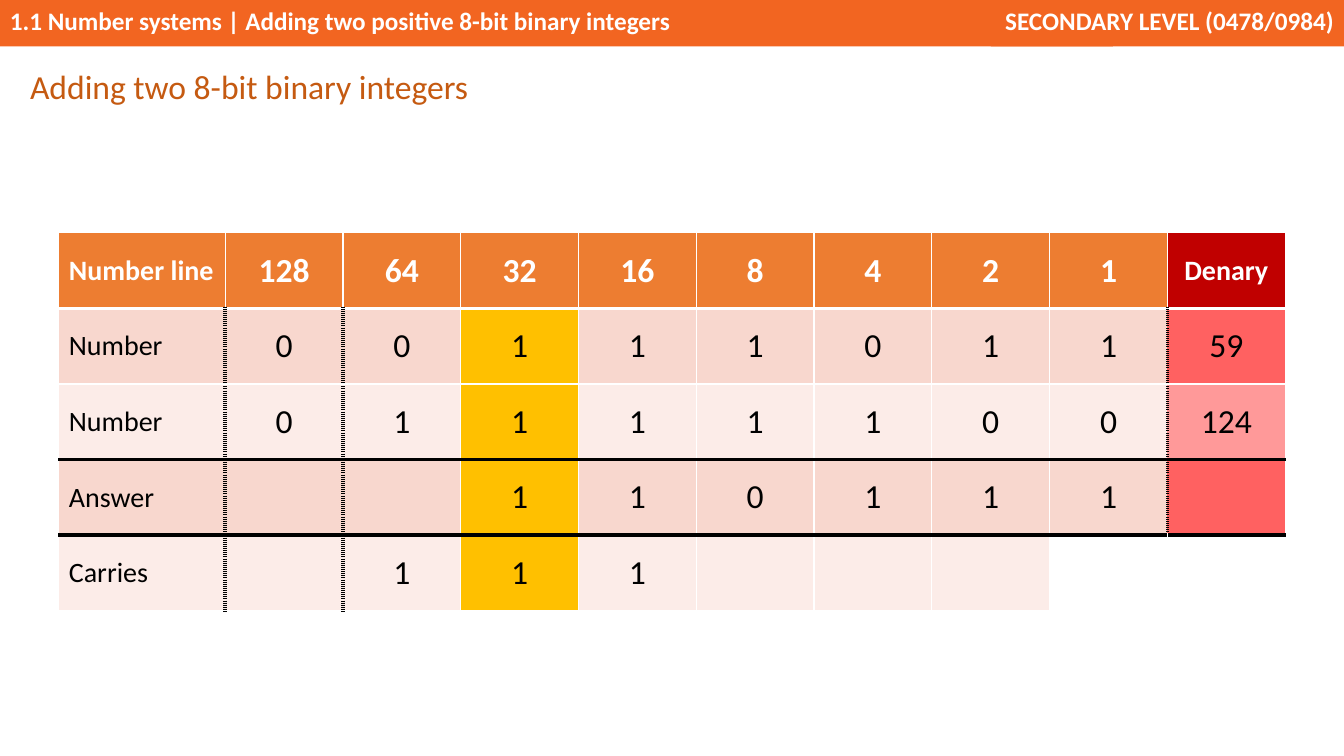
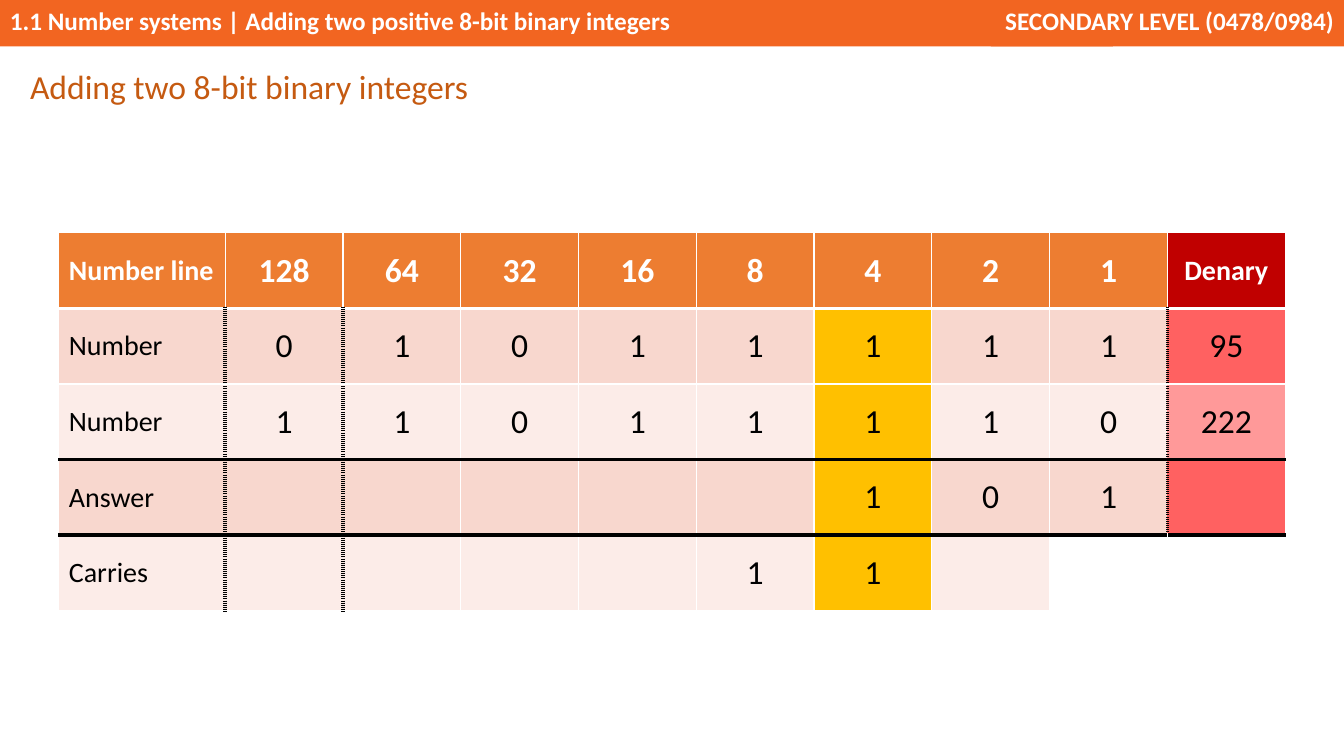
"""Builds two slides that add 8-bit binary integers column by column."""
from lxml.etree import SubElement
from pptx import Presentation
from pptx.dml.color import RGBColor
from pptx.enum.shapes import MSO_SHAPE
from pptx.enum.text import MSO_ANCHOR, PP_ALIGN
from pptx.oxml.ns import qn
from pptx.util import Pt

BAND = RGBColor(0xF2, 0x65, 0x21)
HEADING = RGBColor(0xC5, 0x5A, 0x11)
WHITE = RGBColor(0xFF, 0xFF, 0xFF)
BLACK = RGBColor(0, 0, 0)
PLACE_HEAD = RGBColor(0xED, 0x7D, 0x31)
DENARY_HEAD = RGBColor(0xC0, 0, 0)
ACTIVE = RGBColor(0xFF, 0xC0, 0)
ROW_TINTS = RGBColor(0xF8, 0xD7, 0xCE), RGBColor(0xFC, 0xEC, 0xE8)
DENARY_TINTS = RGBColor(0xFF, 0x61, 0x61), RGBColor(0xFF, 0x99, 0x99)
FONT = "Calibri"

BANDS = [
    ("1.1 Number systems | Adding two positive 8-bit binary integers", 0, 794.9, PP_ALIGN.LEFT),
    ("SECONDARY LEVEL (0478/0984)", 707.8, 252.2, PP_ALIGN.RIGHT),
]
TITLE = "Adding two 8-bit binary integers"
HEADERS = ["Number line", "128", "64", "32", "16", "8", "4", "2", "1", "Denary"]
BLANK = "_"
SUMS = [
    ("32", [
        ("Number", "00111011", "59"),
        ("Number", "01111100", "124"),
        ("Answer", "__110111", ""),
        ("Carries", "_111____", ""),
    ]),
    ("4", [
        ("Number", "01011111", "95"),
        ("Number", "11011110", "222"),
        ("Answer", "_____101", ""),
        ("Carries", "____11__", ""),
    ]),
]

LABEL_COL, DENARY_COL = 0, len(HEADERS) - 1
CARRIES_ROW = 4
THIN = (WHITE, 1, "solid")
RULE = (BLACK, 3, "solid")
DOTTED = (BLACK, 3, "sysDot")
ROW_EDGES = {1: (WHITE, 3, "solid"), 3: RULE, 4: RULE}
DOTTED_EDGES = {1: 4, 2: 4, DENARY_COL: 3}


def style(paragraph, size, color, bold=False, align=PP_ALIGN.LEFT):
    paragraph.alignment = align
    font = paragraph.font
    font.name, font.size, font.bold = FONT, Pt(size), bold
    font.color.rgb = color


def add_bands(slide):
    for text, left, width, align in BANDS:
        band = slide.shapes.add_shape(MSO_SHAPE.RECTANGLE, Pt(left), 0, Pt(width), Pt(33.1))
        band.shadow.inherit = False
        band.fill.solid()
        band.fill.fore_color.rgb = BAND
        band.line.fill.background()
        band.text_frame.text = text
        band.text_frame.vertical_anchor = MSO_ANCHOR.TOP
        style(band.text_frame.paragraphs[0], 18, WHITE, True, align)


def add_title(slide):
    frame = slide.shapes.add_textbox(Pt(14.4), Pt(41.5), Pt(345.6), Pt(36.7)).text_frame
    frame.word_wrap = True
    frame.text = TITLE
    heading = frame.paragraphs[0]
    heading.line_spacing, heading.space_after = 1.07, Pt(8)
    style(heading, 24, HEADING)


def column_edge(row, edge):
    return DOTTED if 1 <= row <= DOTTED_EDGES.get(edge, 0) else THIN


def set_borders(cell, row, col):
    edges = [
        ("a:lnL", column_edge(row, col)),
        ("a:lnR", column_edge(row, col + 1)),
        ("a:lnT", ROW_EDGES.get(row, THIN)),
        ("a:lnB", ROW_EDGES.get(row + 1, THIN)),
    ]
    properties = cell._tc.get_or_add_tcPr()
    for position, (tag, (color, width, dash)) in enumerate(edges):
        line = SubElement(properties, qn(tag), w=str(Pt(width)))
        fill = SubElement(line, qn("a:solidFill"))
        SubElement(fill, qn("a:srgbClr"), val=str(color))
        SubElement(line, qn("a:prstDash"), val=dash)
        properties.insert(position, line)


def cell_fill(row, col, active_col):
    if row == 0:
        return DENARY_HEAD if col == DENARY_COL else PLACE_HEAD
    if col == active_col:
        return ACTIVE
    if row == CARRIES_ROW and col >= DENARY_COL - 1:
        return WHITE
    tints = DENARY_TINTS if col == DENARY_COL else ROW_TINTS
    return tints[(row - 1) % 2]


def add_sum(slide, active_place, sum_rows):
    rows = [HEADERS] + [[label, *bits.replace(BLANK, " "), denary]
                        for label, bits, denary in sum_rows]
    widths = [118.8] + [84.15] * DENARY_COL
    row_height = 54
    table = slide.shapes.add_table(
        len(rows), len(widths), Pt(42), Pt(166.3),
        Pt(sum(widths)), Pt(row_height * len(rows))).table
    for column, width in zip(table.columns, widths):
        column.width = Pt(width)
    active_col = HEADERS.index(active_place)
    for r, values in enumerate(rows):
        table.rows[r].height = Pt(row_height)
        for c, value in enumerate(values):
            cell = table.cell(r, c)
            cell.text = value.strip()
            cell.vertical_anchor = MSO_ANCHOR.MIDDLE
            cell.fill.solid()
            cell.fill.fore_color.rgb = cell_fill(r, c, active_col)
            is_word = c == LABEL_COL or (r == 0 and c == DENARY_COL)
            style(cell.text_frame.paragraphs[0], 20 if is_word else 24,
                  WHITE if r == 0 else BLACK, r == 0,
                  PP_ALIGN.LEFT if c == LABEL_COL else PP_ALIGN.CENTER)
            set_borders(cell, r, c)


def main():
    deck = Presentation()
    deck.slide_width, deck.slide_height = Pt(960), Pt(540)
    for active_place, sum_rows in SUMS:
        slide = deck.slides.add_slide(deck.slide_layouts[6])
        add_bands(slide)
        add_sum(slide, active_place, sum_rows)
        add_title(slide)
    deck.save("out.pptx")


if __name__ == "__main__":
    main()
